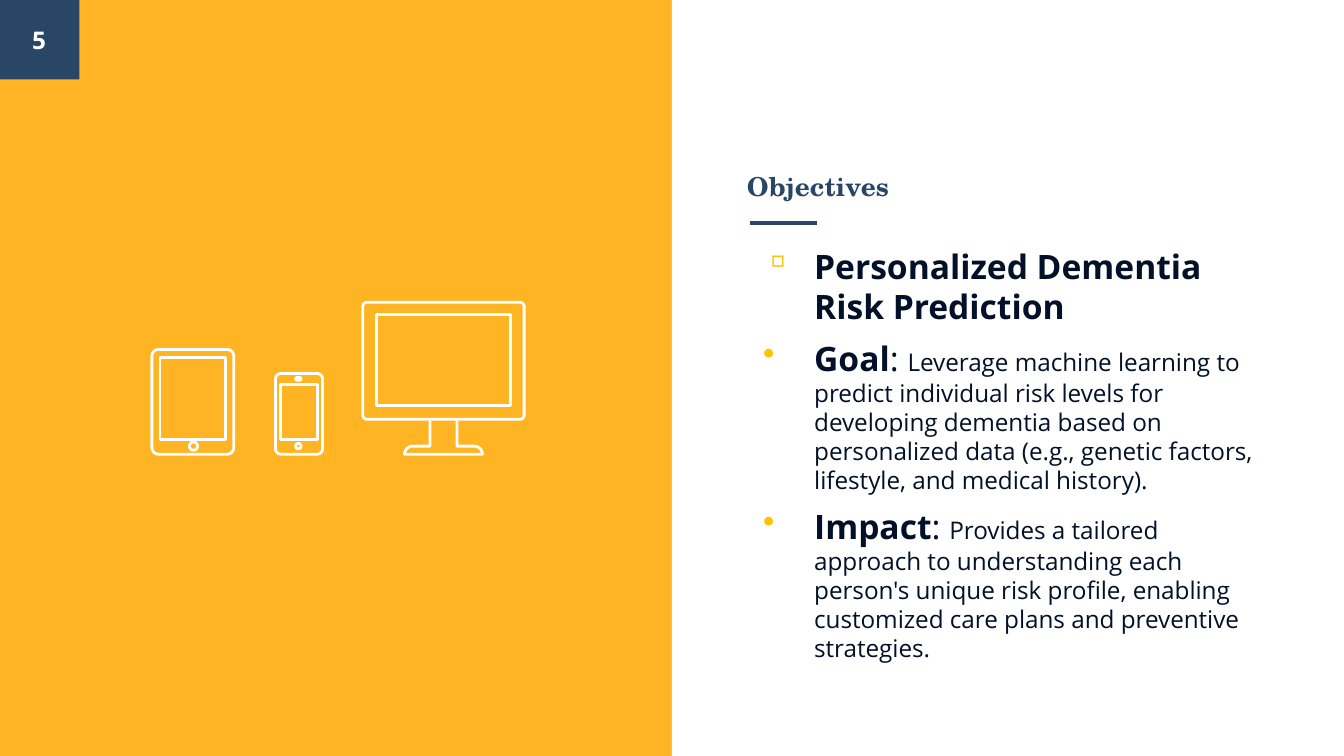
from dataclasses import dataclass
from math import cos, radians, sin

from lxml import etree
from pptx import Presentation
from pptx.dml.color import RGBColor
from pptx.enum.shapes import MSO_CONNECTOR, MSO_SHAPE
from pptx.enum.text import MSO_ANCHOR, PP_ALIGN
from pptx.oxml.ns import qn
from pptx.util import Inches, Pt

RECTANGLE = MSO_SHAPE.RECTANGLE
STRAIGHT = MSO_CONNECTOR.STRAIGHT
TOP, MIDDLE, BOTTOM = MSO_ANCHOR.TOP, MSO_ANCHOR.MIDDLE, MSO_ANCHOR.BOTTOM
LEFT, CENTER = PP_ALIGN.LEFT, PP_ALIGN.CENTER
SLIDE_WIDTH = 10
SLIDE_HEIGHT = SLIDE_WIDTH * 9 / 16


@dataclass(frozen=True)
class Theme:
    amber: str = "FFA800"
    amber_opacity: int = 86
    navy: str = "294667"
    ink: str = "021028"
    bullet: str = "FFC200"
    white: str = "FFFFFF"
    heading_font: str = "TeX Gyre Schola"
    body_font: str = "Open Sans"
    title_size: int = 14
    lead_size: int = 18
    body_size: int = 13
    rule_width: float = 2.25
    icon_width: float = 1.5


THEME = Theme()


def rgb(color):
    return RGBColor.from_string(color)


def add_panel(slide, left, top, width, height, color, opacity=100):
    panel = slide.shapes.add_shape(
        RECTANGLE, Inches(left), Inches(top), Inches(width), Inches(height))
    panel.shadow.inherit = False
    panel.fill.solid()
    panel.fill.fore_color.rgb = rgb(color)
    panel.line.fill.background()
    if opacity < 100:
        color_element = panel._element.spPr.find(".//" + qn("a:srgbClr"))
        etree.SubElement(color_element, qn("a:alpha"), val=str(opacity * 1000))


def add_rule(slide, left, right, y):
    rule = slide.shapes.add_connector(
        STRAIGHT, Inches(left), Inches(y), Inches(right), Inches(y))
    rule.line.color.rgb = rgb(THEME.navy)
    rule.line.width = Pt(THEME.rule_width)
    etree.SubElement(rule._element.spPr, qn("a:effectLst"))


def add_text_frame(slide, left, top, width, height, anchor):
    box = slide.shapes.add_textbox(
        Inches(left), Inches(top), Inches(width), Inches(height))
    frame = box.text_frame
    frame.word_wrap = True
    frame.vertical_anchor = anchor
    frame.margin_left = frame.margin_right = Inches(0.1)
    frame.margin_top = frame.margin_bottom = Inches(0.1)
    return frame


def add_run(paragraph, text, size, color, bold=False, font=THEME.body_font):
    run = paragraph.add_run()
    run.text = text
    run.font.size = Pt(size)
    run.font.name = font
    run.font.bold = bold
    run.font.color.rgb = rgb(color)


def add_label(slide, box, text, size, color, font, anchor, alignment):
    paragraph = add_text_frame(slide, *box, anchor).paragraphs[0]
    paragraph.alignment = alignment
    add_run(paragraph, text, size, color, True, font)


def set_bullet(paragraph, character):
    paragraph.space_before = Pt(6)
    properties = paragraph._p.get_or_add_pPr()
    properties.set("marL", str(Inches(0.5)))
    properties.set("indent", str(Inches(-0.38)))
    bullet_color = etree.SubElement(properties, qn("a:buClr"))
    etree.SubElement(bullet_color, qn("a:srgbClr"), val=THEME.bullet)
    etree.SubElement(properties, qn("a:buChar"), char=character)


def add_objectives(slide, objectives):
    frame = add_text_frame(slide, 5.46, 1.73, 4.04, 3.3, TOP)
    for index, (bullet, lead, detail) in enumerate(objectives):
        paragraph = frame.add_paragraph() if index else frame.paragraphs[0]
        set_bullet(paragraph, bullet)
        add_run(paragraph, lead, THEME.lead_size, THEME.ink, True)
        if detail:
            add_run(paragraph, ": ", THEME.lead_size, THEME.ink)
            add_run(paragraph, detail, THEME.body_size, THEME.ink)


def arc(center_x, center_y, radius, start):
    angles = [radians(start + step * 15) for step in range(7)]
    return [(center_x + radius * cos(angle), center_y + radius * sin(angle))
            for angle in angles]


def box_outline(left, top, right, bottom, radius=0.0):
    if not radius:
        return [(left, top), (right, top), (right, bottom), (left, bottom)]
    return (arc(left + radius, top + radius, radius, 180)
            + arc(right - radius, top + radius, radius, 270)
            + arc(right - radius, bottom - radius, radius, 0)
            + arc(left + radius, bottom - radius, radius, 90))


def circle_outline(x, y, radius):
    return box_outline(x - radius, y - radius, x + radius, y + radius, radius)


def add_icon(slide, outlines, close=True):
    builder = None
    for outline in outlines:
        points = [(Inches(x), Inches(y)) for x, y in outline]
        if builder is None:
            builder = slide.shapes.build_freeform(*points[0], scale=1.0)
        else:
            builder.move_to(*points[0])
        builder.add_line_segments(points[1:], close=close)
    icon = builder.convert_to_shape()
    icon.shadow.inherit = False
    icon.fill.background()
    icon.line.color.rgb = rgb(THEME.white)
    icon.line.width = Pt(THEME.icon_width)


def add_devices(slide):
    tablet = [box_outline(1.13, 2.6, 1.74, 3.38, 0.05),
              circle_outline(1.44, 3.32, 0.03),
              box_outline(1.19, 2.66, 1.68, 3.27)]
    phone = [box_outline(2.05, 2.78, 2.4, 3.38, 0.04),
             box_outline(2.2, 2.81, 2.24, 2.83, 0.01),
             circle_outline(2.22, 3.32, 0.02),
             box_outline(2.09, 2.86, 2.36, 3.27)]
    stand = [[(3.2, 3.13), (3.2, 3.32)]
             + arc(3.07, 3.38, 0.06, 180)[::-1]
             + arc(3.53, 3.38, 0.06, 270)[::-1]
             + [(3.4, 3.32), (3.4, 3.13)]]
    monitor = [box_outline(2.7, 2.25, 3.9, 3.12, 0.03),
               box_outline(2.8, 2.34, 3.8, 3.02)]
    add_icon(slide, tablet)
    add_icon(slide, phone)
    add_icon(slide, stand, close=False)
    add_icon(slide, monitor)


def main():
    presentation = Presentation()
    presentation.slide_width = Inches(SLIDE_WIDTH)
    presentation.slide_height = Inches(SLIDE_HEIGHT)
    slide = presentation.slides.add_slide(presentation.slide_layouts[6])

    half = SLIDE_WIDTH / 2
    add_panel(slide, 0, 0, half, SLIDE_HEIGHT, THEME.amber, THEME.amber_opacity)
    add_panel(slide, half, 0, half, SLIDE_HEIGHT, THEME.white)
    add_rule(slide, 5.58, 6.08, 1.66)
    add_panel(slide, 0, 0, 0.59, 0.59, THEME.navy)
    add_label(slide, (5.46, 0.76, 4.04, 0.84), "Objectives", THEME.title_size,
              THEME.navy, THEME.heading_font, BOTTOM, LEFT)
    add_objectives(slide, [
        ("▫", "Personalized Dementia Risk Prediction", ""),
        ("•", "Goal",
         "Leverage machine learning to predict individual risk levels for "
         "developing dementia based on personalized data (e.g., genetic "
         "factors, lifestyle, and medical history)."),
        ("•", "Impact",
         "Provides a tailored approach to understanding each person's unique "
         "risk profile, enabling customized care plans and preventive "
         "strategies."),
    ])
    add_devices(slide)
    add_label(slide, (-0.01, 0, 0.6, 0.59), "5", THEME.body_size,
              THEME.white, THEME.body_font, MIDDLE, CENTER)

    presentation.save("out.pptx")


if __name__ == "__main__":
    main()
